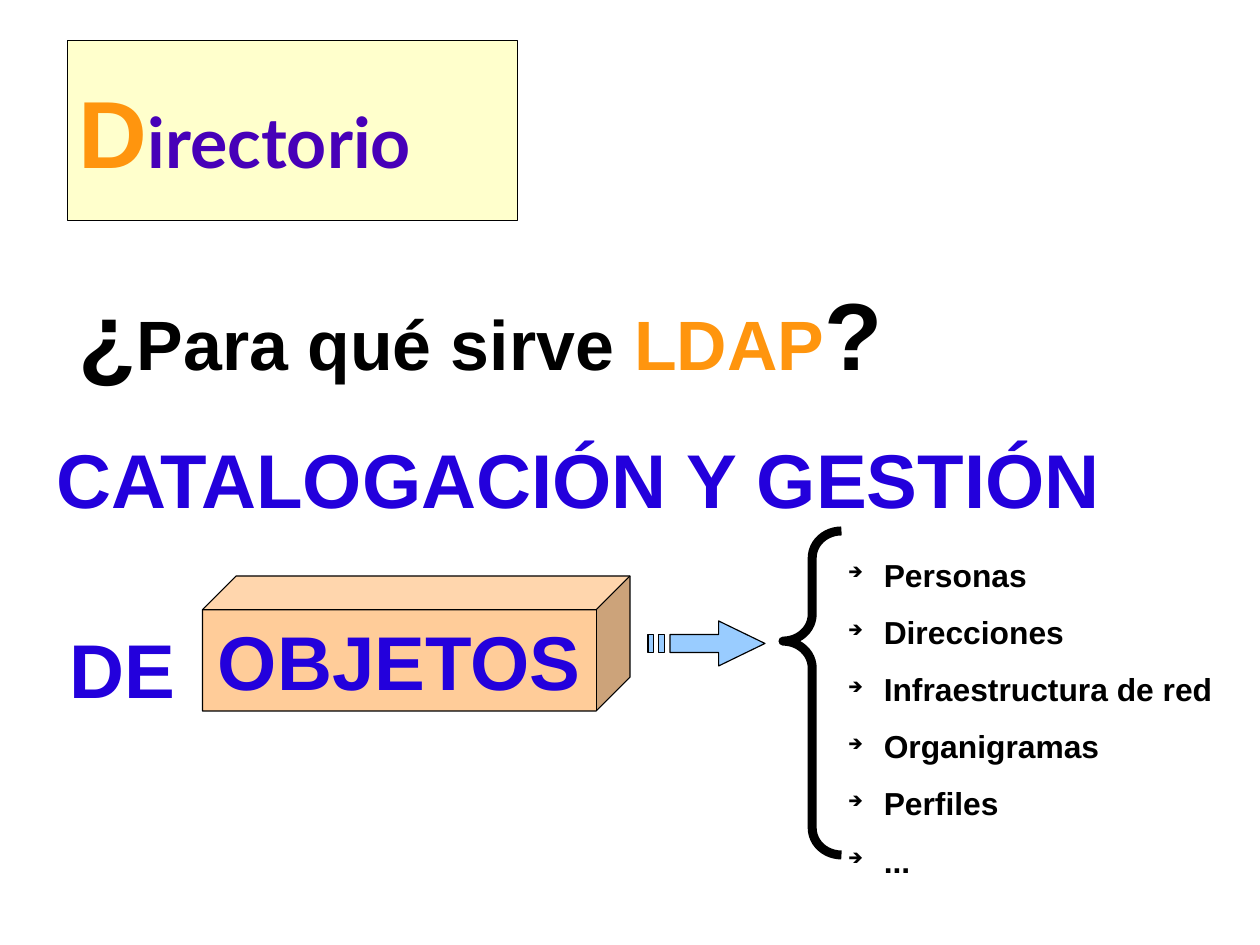
from lxml import etree
from pptx import Presentation
from pptx.dml.color import RGBColor
from pptx.enum.shapes import MSO_SHAPE
from pptx.enum.text import MSO_ANCHOR, MSO_AUTO_SIZE, PP_ALIGN
from pptx.oxml.ns import qn
from pptx.util import Cm, Pt

RECT, CUBE, BRACE = MSO_SHAPE.RECTANGLE, MSO_SHAPE.CUBE, MSO_SHAPE.LEFT_BRACE
MIDDLE = MSO_ANCHOR.MIDDLE
LEFT, CENTER = PP_ALIGN.LEFT, PP_ALIGN.CENTER
GROW = MSO_AUTO_SIZE.SHAPE_TO_FIT_TEXT
COLS, ROWS = 28, 21
UNIT = Cm(1)
BLACK, ORANGE, BLUE, VIOLET = "000000", "FF950E", "2300DC", "4700B8"
ITEMS = ["Personas", "Direcciones", "Infraestructura de red",
         "Organigramas", "Perfiles", "..."]


def color(code):
    return RGBColor.from_string(code)


def grid(*cells):
    return [round(cell * UNIT) for cell in cells]


def paint(shape, fill=None, width=0):
    shape.shadow.inherit = False
    if fill:
        shape.fill.solid()
        shape.fill.fore_color.rgb = color(fill)
    else:
        shape.fill.background()
    shape.line.color.rgb = color(BLACK)
    shape.line.width = Pt(width)


def write(para, parts, align=LEFT):
    para.alignment = align
    for text, size, code, face in parts:
        run = para.add_run()
        run.text = text
        font = run.font
        font.size, font.name, font.bold = Pt(size), face, True
        font.color.rgb = color(code)


def add_form(slide, kind, cells, fill=None, width=0, adjust=()):
    shape = slide.shapes.add_shape(kind, *grid(*cells))
    paint(shape, fill, width)
    for i, value in enumerate(adjust):
        shape.adjustments[i] = value
    return shape


def fill_form(shape, parts, align):
    frame = shape.text_frame
    frame.word_wrap = True
    frame.vertical_anchor = MIDDLE
    write(frame.paragraphs[0], parts, align)


def add_text(slide, cells, parts=()):
    frame = slide.shapes.add_textbox(*grid(*cells)).text_frame
    frame.word_wrap = True
    frame.auto_size = GROW
    write(frame.paragraphs[0], parts)
    return frame


def add_bullet(para):
    props = para._p.get_or_add_pPr()
    props.set("marL", str(Cm(0.79)))
    props.set("indent", str(-Cm(0.79)))
    tint = etree.SubElement(props, qn("a:buClr"))
    etree.SubElement(tint, qn("a:srgbClr"), val=BLACK)
    etree.SubElement(props, qn("a:buSzPct"), val="45000")
    etree.SubElement(props, qn("a:buChar"), char="➔")


def add_list(slide, cells, items):
    frame = add_text(slide, cells)
    for i, item in enumerate(items):
        para = frame.paragraphs[0] if i == 0 else frame.add_paragraph()
        para.line_spacing = 1.5
        add_bullet(para)
        write(para, [(item, 20, BLACK, "Arial")])


def add_arrow(slide, left, top):
    head = [(157, 0), (260, 50), (157, 100), (157, 70),
            (49, 70), (49, 30), (157, 30)]
    bars = [[(x, 30), (x, 70), (x + 13, 70), (x + 13, 30)] for x in (0, 23)]
    pen = slide.shapes.build_freeform(*head[0], scale=UNIT / 100)
    pen.add_line_segments(head[1:], close=True)
    for bar in bars:
        pen.move_to(*bar[0])
        pen.add_line_segments(bar[1:], close=True)
    paint(pen.convert_to_shape(*grid(left, top)), "99CCFF")


def main():
    deck = Presentation()
    deck.slide_width, deck.slide_height = grid(COLS, ROWS)
    slide = deck.slides.add_slide(deck.slide_layouts[6])

    title = add_form(slide, RECT, (1.5, 0.9, 10, 4), "FFFFCC")
    fill_form(title, [("D", 60, ORANGE, "Arial"),
                      ("irectorio", 44, VIOLET, "Lato")], LEFT)
    add_text(slide, (1.5, 6, 21, 2.6), [
        ("¿", 60, BLACK, "Arial"), ("Para qué sirve ", 44, BLACK, "Arial"),
        ("LDAP", 44, ORANGE, "Arial"), ("?", 60, BLACK, "Arial")])
    add_text(slide, (1, 9.48, 26, 2.13),
             [("CATALOGACIÓN Y GESTIÓN", 48, BLUE, "Arial")])
    add_text(slide, (1.3, 13.7, 3, 2.13), [("DE", 48, BLUE, "Arial")])
    box = add_form(slide, CUBE, (4.5, 12.8, 9.5, 3), "FFCC99", adjust=[0.25])
    fill_form(box, [("OBJETOS", 48, BLUE, "Arial")], CENTER)
    add_arrow(slide, 14.4, 13.8)
    add_form(slide, BRACE, (17.4, 11.8, 1.3, 7.2), width=5.67,
             adjust=[0.46, 0.34])
    add_list(slide, (18.6, 11.8, 8.9, 7.34), ITEMS)

    deck.save("out.pptx")


if __name__ == "__main__":
    main()
